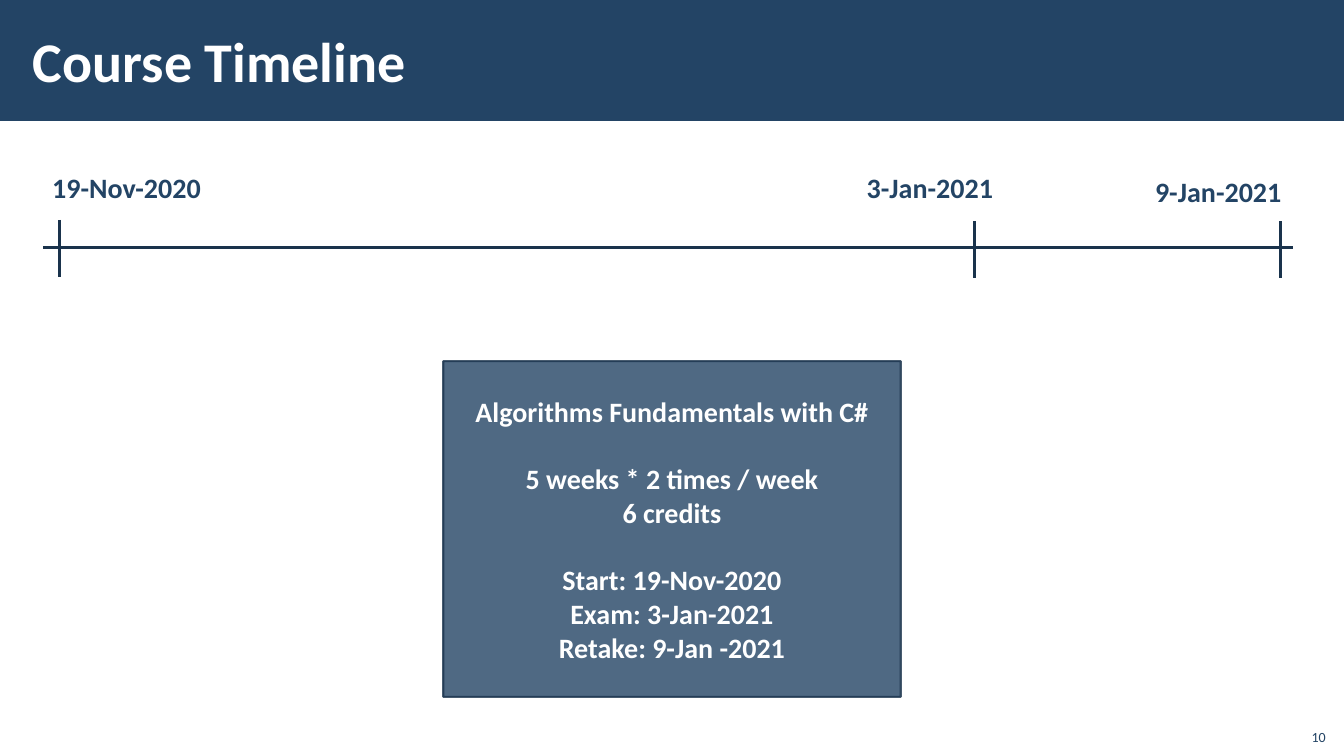
from lxml import etree
from pptx import Presentation
from pptx.dml.color import RGBColor
from pptx.enum.shapes import MSO_CONNECTOR, MSO_SHAPE
from pptx.enum.text import MSO_ANCHOR, PP_ALIGN
from pptx.oxml.ns import qn
from pptx.util import Pt

RECT, STRAIGHT = MSO_SHAPE.RECTANGLE, MSO_CONNECTOR.STRAIGHT
MIDDLE, BOTTOM, TOP = MSO_ANCHOR.MIDDLE, MSO_ANCHOR.BOTTOM, MSO_ANCHOR.TOP
LEFT, CENTER, RIGHT = PP_ALIGN.LEFT, PP_ALIGN.CENTER, PP_ALIGN.RIGHT

FONT = "Calibri"
NAVY, DARK, WHITE = "234465", "1A334C", "FFFFFF"
OPACITY = 80

TITLE = "Course Timeline"
SLIDE_NUMBER = "10"
# date, tick x, tick top, label left, label top, label width
MILESTONES = [
    ("19-Nov-2020", 42.5, 157, 30.2, 118, 121.7),
    ("3-Jan-2021", 696.2, 158, 612, 118, 122.4),
    ("9-Jan-2021", 914.4, 158, 818, 121, 105.8),
]
AXIS_START, AXIS_END, AXIS_Y = 31, 923.8, 177.1
TICK_HEIGHT, LABEL_HEIGHT = 40.6, 31.5
# groups of lines, one line height apart
COURSE = [
    ["Algorithms Fundamentals with C#"],
    ["5 weeks * 2 times / week", "6 credits"],
    ["Start: 19-Nov-2020", "Exam: 3-Jan-2021", "Retake: 9-Jan -2021"],
]
GROUP_GAP = 24.2


def rgb(color):
    return RGBColor.from_string(color)


def set_font(p, size, color, bold=True):
    p.font.name, p.font.size, p.font.bold = FONT, Pt(size), bold
    p.font.color.rgb = rgb(color)


def add_line(s, x1, y1, x2, y2):
    line = s.shapes.add_connector(STRAIGHT, Pt(x1), Pt(y1), Pt(x2), Pt(y2))
    line.line.color.rgb = rgb(DARK)
    line.line.width = Pt(2.25)
    etree.SubElement(line.element.spPr, qn("a:effectLst"))


def add_rect(s, x, y, w, h):
    rect = s.shapes.add_shape(RECT, Pt(x), Pt(y), Pt(w), Pt(h))
    rect.shadow.inherit = False
    rect.fill.solid()
    rect.fill.fore_color.rgb = rgb(NAVY)
    return rect


def add_text(s, text, x, y, w, h, size, bold=True, align=LEFT, anchor=TOP):
    tf = s.shapes.add_textbox(Pt(x), Pt(y), Pt(w), Pt(h)).text_frame
    tf.word_wrap = True
    tf.vertical_anchor = anchor
    p = tf.paragraphs[0]
    p.text, p.alignment = text, align
    set_font(p, size, NAVY, bold)


def add_title(s):
    band = add_rect(s, 0, 0, 960, 86.4)
    band.line.fill.background()
    title = s.shapes.title
    band.element.addnext(title.element)  # keeps the title in front of the band
    title.left, title.top, title.width, title.height = Pt(15), Pt(8), Pt(763), Pt(70)
    tf = title.text_frame
    tf.text = TITLE
    tf.vertical_anchor = MIDDLE
    tf.margin_left = tf.margin_right = Pt(8.5)
    tf.margin_top = tf.margin_bottom = Pt(3)
    tf.paragraphs[0].alignment = LEFT
    set_font(tf.paragraphs[0], 40, WHITE)


def add_course(s):
    box = add_rect(s, 316.6, 258, 326.8, 239.8)
    box.line.color.rgb = rgb(DARK)
    box.line.width = Pt(1.5)
    for color in box.element.spPr.iter(qn("a:srgbClr")):
        etree.SubElement(color, qn("a:alpha"), val=str(OPACITY * 1000))
    tf = box.text_frame
    tf.word_wrap = True
    tf.vertical_anchor = MIDDLE
    lines = [(text, g > 0 and i == 0)
             for g, group in enumerate(COURSE) for i, text in enumerate(group)]
    for n, (text, starts_group) in enumerate(lines):
        p = tf.add_paragraph() if n else tf.paragraphs[0]
        p.text, p.alignment = text, CENTER
        if starts_group:
            p.space_before = Pt(GROUP_GAP)
        set_font(p, 20, WHITE)


def main():
    prs = Presentation()
    prs.slide_width, prs.slide_height = Pt(960), Pt(540)
    s = prs.slides.add_slide(prs.slide_layouts[5])
    add_title(s)
    add_line(s, AXIS_START, AXIS_Y, AXIS_END, AXIS_Y)
    for date, x, y, label_x, label_y, label_w in MILESTONES:
        add_line(s, x, y, x, y + TICK_HEIGHT)
        add_text(s, date, label_x, label_y, label_w, LABEL_HEIGHT, 20)
    add_course(s)
    add_text(s, SLIDE_NUMBER, 925.2, 512.6, 28.8, 23, 10, False, RIGHT, BOTTOM)
    prs.save("out.pptx")


if __name__ == "__main__":
    main()
